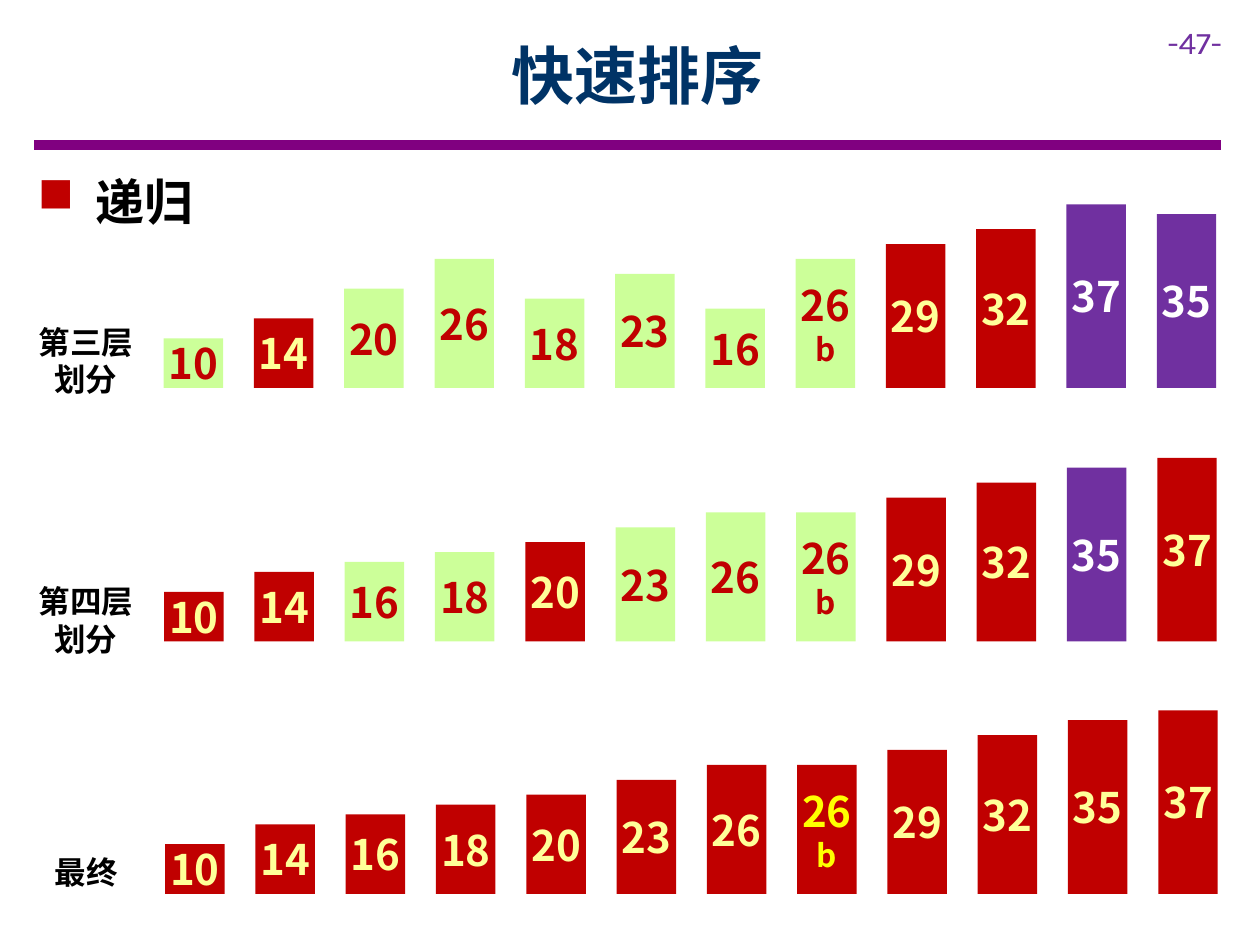
"""Build the quicksort slide showing three rows of bars."""
from lxml import etree
from pptx import Presentation, util as u
from pptx.dml import color
from pptx.enum import shapes, text
from pptx.oxml import ns

CJK = "Noto Sans CJK SC"
BAR_WIDTH, BAR_PITCH, UNIT_HEIGHT = 1.2, 1.82, 0.1
BAR_STYLES = {
    "g": ("CCFF99", "C00000"),
    "r": ("C00000", "FFFF99"),
    "p": ("7030A0", "FFFFFF"),
    "y": ("C00000", "FFFF00"),
}
ROWS = [
    (3.3, 7.82, "10 14 20 26 18 23 16 26b 29 32 37 35", "grggggggrrpp"),
    (3.31, 12.93, "10 14 16 18 20 23 26 26b 29 32 35 37", "rrggrgggrrpr"),
    (3.33, 18.02, "10 14 16 18 20 23 26 26b 29 32 35 37", "rrrrrrryrrrr"),
]
LABELS = [
    (0.51, 6.38, 2.44, 1.8, ["第三层", "划分"]),
    (0.51, 11.61, 2.44, 1.8, ["第四层", "划分"]),
    (0.84, 17.07, 1.8, 1.02, ["最终"]),
]


def rgb(value):
    return color.RGBColor.from_string(value)


def add_child(parent, tag, **attributes):
    return etree.SubElement(parent, ns.qn(tag), **attributes)


class SlideBuilder:
    def __init__(self, page, font):
        self.page = page
        self.font = font

    def add_span(self, para, words, size, ink, bold=True, font=None):
        span = para.add_run()
        span.text = words
        span.font.size = u.Pt(size)
        span.font.bold = bold
        span.font.color.rgb = rgb(ink)
        span.font.name = font or self.font
        latin = span.font._element.find(ns.qn("a:latin"))
        east = etree.Element(ns.qn("a:ea"), typeface=font or self.font)
        latin.addnext(east)

    def lines(self, frame, lines, ink, align=text.PP_ALIGN.CENTER, **style):
        for index, (words, size) in enumerate(lines):
            para = frame.add_paragraph() if index else frame.paragraphs[0]
            para.alignment = align
            self.add_span(para, words, size, ink, **style)

    def textbox(self, left, top, width, height, wrap=True):
        box = self.page.shapes.add_textbox(u.Cm(left), u.Cm(top), u.Cm(width), u.Cm(height))
        box.text_frame.word_wrap = wrap
        return box.text_frame

    def rule(self, left, right, top, ink, weight):
        line = self.page.shapes.add_connector(
            shapes.MSO_CONNECTOR.STRAIGHT, u.Cm(left), u.Cm(top), u.Cm(right), u.Cm(top))
        line.line.color.rgb = rgb(ink)
        line.line.width = u.Pt(weight)
        add_child(line._element.spPr, "a:effectLst")

    def bullet(self, left, top, width, height, words):
        para = self.textbox(left, top, width, height).paragraphs[0]
        properties = para._p.get_or_add_pPr()
        properties.set("marL", str(u.Cm(0.95)))
        properties.set("indent", str(-u.Cm(0.95)))
        tint = add_child(properties, "a:buClr")
        add_child(tint, "a:srgbClr", val="C00000")
        add_child(properties, "a:buChar", char="■")
        para.space_after = u.Pt(6)
        self.add_span(para, words, 28, "000000")

    def bar(self, left, base, name, style):
        fill, ink = BAR_STYLES[style]
        height = int(name[:2]) * UNIT_HEIGHT
        box = self.page.shapes.add_shape(
            shapes.MSO_SHAPE.RECTANGLE, u.Cm(left), u.Cm(base - height),
            u.Cm(BAR_WIDTH), u.Cm(height))
        box.shadow.inherit = False
        box.fill.solid()
        box.fill.fore_color.rgb = rgb(fill)
        box.line.fill.background()
        frame = box.text_frame
        frame.word_wrap = True
        frame.vertical_anchor = text.MSO_ANCHOR.MIDDLE
        frame.margin_left = frame.margin_right = 0
        frame.margin_top = frame.margin_bottom = u.Cm(0.25)
        suffix = [(name[2:], 18)] if name[2:] else []
        self.lines(frame, [(name[:2], 24)] + suffix, ink)

    def bar_row(self, left, base, names, styles):
        for index, (name, style) in enumerate(zip(names.split(), styles)):
            self.bar(left + index * BAR_PITCH, base, name, style)


def main():
    deck = Presentation()
    deck.slide_width, deck.slide_height = u.Cm(25.4), u.Cm(19.05)
    builder = SlideBuilder(deck.slides.add_slide(deck.slide_layouts[6]), CJK)

    builder.rule(0.69, 24.61, 2.92, "800080", 6)
    number = builder.textbox(23.29, 0.33, 2.11, 1.02)
    builder.lines(number, [("-47-", 18)], "7030A0",
                  align=text.PP_ALIGN.LEFT, bold=False, font="Karla")
    title = builder.textbox(2.29, 0.23, 21.11, 2.54)
    title.vertical_anchor = text.MSO_ANCHOR.MIDDLE
    builder.lines(title, [("快速排序", 36)], "003366")
    builder.bullet(0.51, 3.33, 24.23, 1.45, " 递归")

    for row in ROWS:
        builder.bar_row(*row)
    for left, top, width, height, words in LABELS:
        frame = builder.textbox(left, top, width, height, wrap=False)
        builder.lines(frame, [(word, 18) for word in words], "000000")

    deck.save("out.pptx")


if __name__ == "__main__":
    main()
